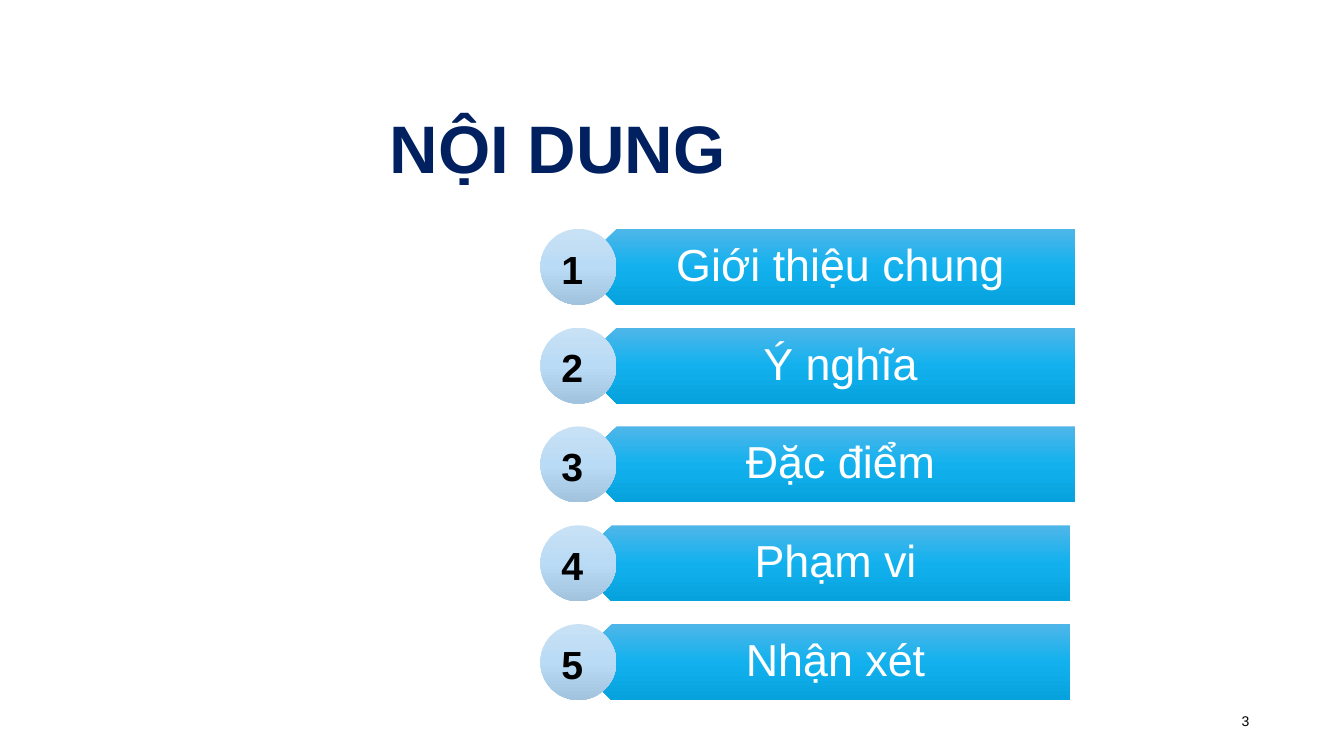
"""Build the contents slide: a title and five numbered arrow bars."""
from copy import deepcopy
from dataclasses import dataclass
from typing import NamedTuple

from pptx import Presentation
from pptx.dml.color import RGBColor
from pptx.enum.shapes import MSO_SHAPE
from pptx.enum.text import MSO_ANCHOR, PP_ALIGN
from pptx.util import Inches, Pt


@dataclass(frozen=True)
class Theme:
    font: str = "Arial"
    navy: str = "002060"
    black: str = "000000"
    white: str = "FFFFFF"
    bar: tuple[str, ...] = ("4FB6E9", "12B1EE", "06A2DD")
    badge: tuple[str, ...] = ("C8E1F5", "BADBF5", "A1C3DE")
    title_pt: int = 48
    bar_pt: int = 32
    badge_pt: int = 28
    page_pt: int = 10


class Box(NamedTuple):
    left: float
    top: float
    width: float
    height: float


class Item(NamedTuple):
    label: str
    bar_left: float


THEME = Theme()
WIDTH, HEIGHT = Inches(13.33), Inches(7.5)
TITLE = Box(28.28, 11.33, 28.13, 14.27)
PAGE = Box(89.95, 92.67, 3.75, 5.33)
BADGE = Box(40.21, 30.27, 5.65, 10.05)
BAR_WIDTH, NOTCH, PITCH = 36.95, 2.83, 13.07
ITEMS = (
    Item("Giới thiệu chung", 43.06),
    Item("Ý nghĩa", 43.06),
    Item("Đặc điểm", 43.06),
    Item("Phạm vi", 42.69),
    Item("Nhận xét", 42.69),
)


def across(share: float) -> int:
    """Turn a percentage of the slide width into a length."""
    return round(WIDTH * share / 100)


def down(share: float) -> int:
    """Turn a percentage of the slide height into a length."""
    return round(HEIGHT * share / 100)


def place(box: Box) -> tuple[int, int, int, int]:
    """Turn a box of percentages into lengths."""
    return across(box.left), down(box.top), across(box.width), down(box.height)


def write(sp, text: str, size: int, color: str, bold: bool = False,
          align=PP_ALIGN.LEFT, anchor=MSO_ANCHOR.MIDDLE, spacing: float = 1.0) -> None:
    """Set and format the single paragraph of a shape."""
    tf = sp.text_frame
    tf.text = text
    tf.word_wrap = True
    tf.vertical_anchor = anchor
    p = tf.paragraphs[0]
    p.alignment = align
    p.line_spacing = spacing
    font = p.runs[0].font
    font.name, font.size, font.bold = THEME.font, Pt(size), bold
    font.color.rgb = RGBColor.from_string(color)


def shade(sp, colors: tuple[str, ...]) -> None:
    """Fill a shape with an even top-to-bottom gradient, without line or shadow."""
    sp.shadow.inherit = False
    sp.line.fill.background()
    sp.fill.gradient()
    sp.fill.gradient_angle = 270
    first = next(sp._element.spPr.iter("{*}gs"))
    for _ in colors[2:]:
        first.addnext(deepcopy(first))
    for i, (stop, color) in enumerate(zip(sp.fill.gradient_stops, colors)):
        stop.position = i / (len(colors) - 1)
        stop.color.rgb = RGBColor.from_string(color)


def draw_bar(s, item: Item, top: float) -> None:
    """Draw a bar whose left end is a point."""
    left, right = item.bar_left, item.bar_left + BAR_WIDTH
    middle, bottom = top + BADGE.height / 2, top + BADGE.height
    outline = [(right, bottom), (left + NOTCH, bottom), (left, middle),
               (left + NOTCH, top), (right, top)]
    points = [(across(x), down(y)) for x, y in outline]
    builder = s.shapes.build_freeform(*points[0])
    builder.add_line_segments(points[1:], close=True)
    sp = builder.convert_to_shape()
    shade(sp, THEME.bar)
    write(sp, item.label, THEME.bar_pt, THEME.white, align=PP_ALIGN.CENTER, spacing=0.9)
    tf = sp.text_frame
    tf.margin_left, tf.margin_right = across(3.9), across(1.88)
    tf.margin_top = tf.margin_bottom = down(1.73)


def draw_badge(s, number: int, top: float) -> None:
    """Draw the numbered circle at the start of a bar."""
    sp = s.shapes.add_shape(MSO_SHAPE.OVAL, *place(BADGE._replace(top=top)))
    shade(sp, THEME.badge)
    write(sp, str(number), THEME.badge_pt, THEME.black, bold=True, anchor=MSO_ANCHOR.TOP)


def main() -> None:
    """Build and save the slide."""
    prs = Presentation()
    prs.slide_width, prs.slide_height = WIDTH, HEIGHT
    s = prs.slides.add_slide(prs.slide_layouts[6])
    write(s.shapes.add_textbox(*place(PAGE)), "3", THEME.page_pt, THEME.black,
          align=PP_ALIGN.RIGHT)
    write(s.shapes.add_textbox(*place(TITLE)), "NỘI DUNG", THEME.title_pt, THEME.navy,
          bold=True, anchor=MSO_ANCHOR.BOTTOM, spacing=0.9)
    for i, item in enumerate(ITEMS):
        top = BADGE.top + i * PITCH
        draw_bar(s, item, top)
        draw_badge(s, i + 1, top)
    prs.save("out.pptx")


if __name__ == "__main__":
    main()
